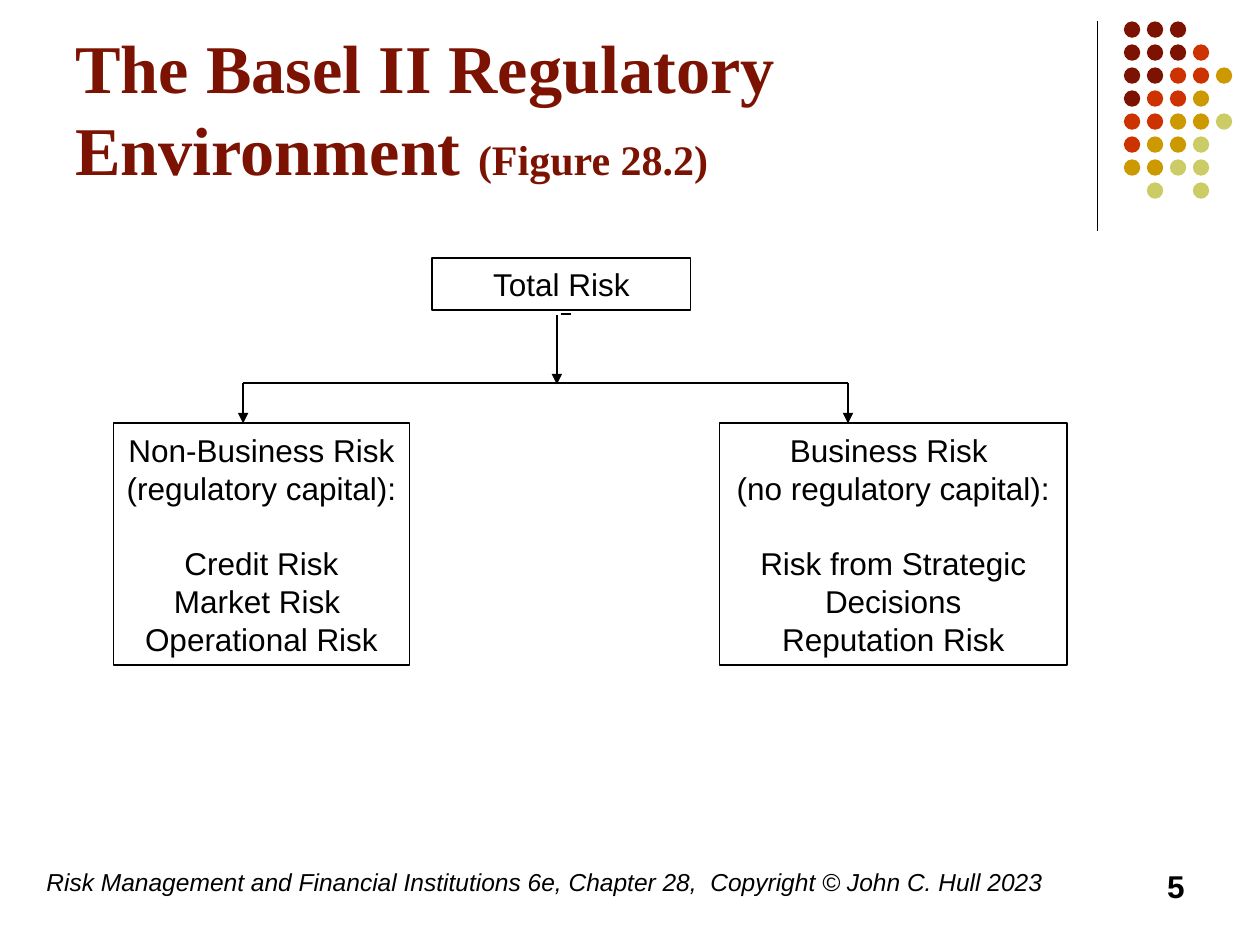
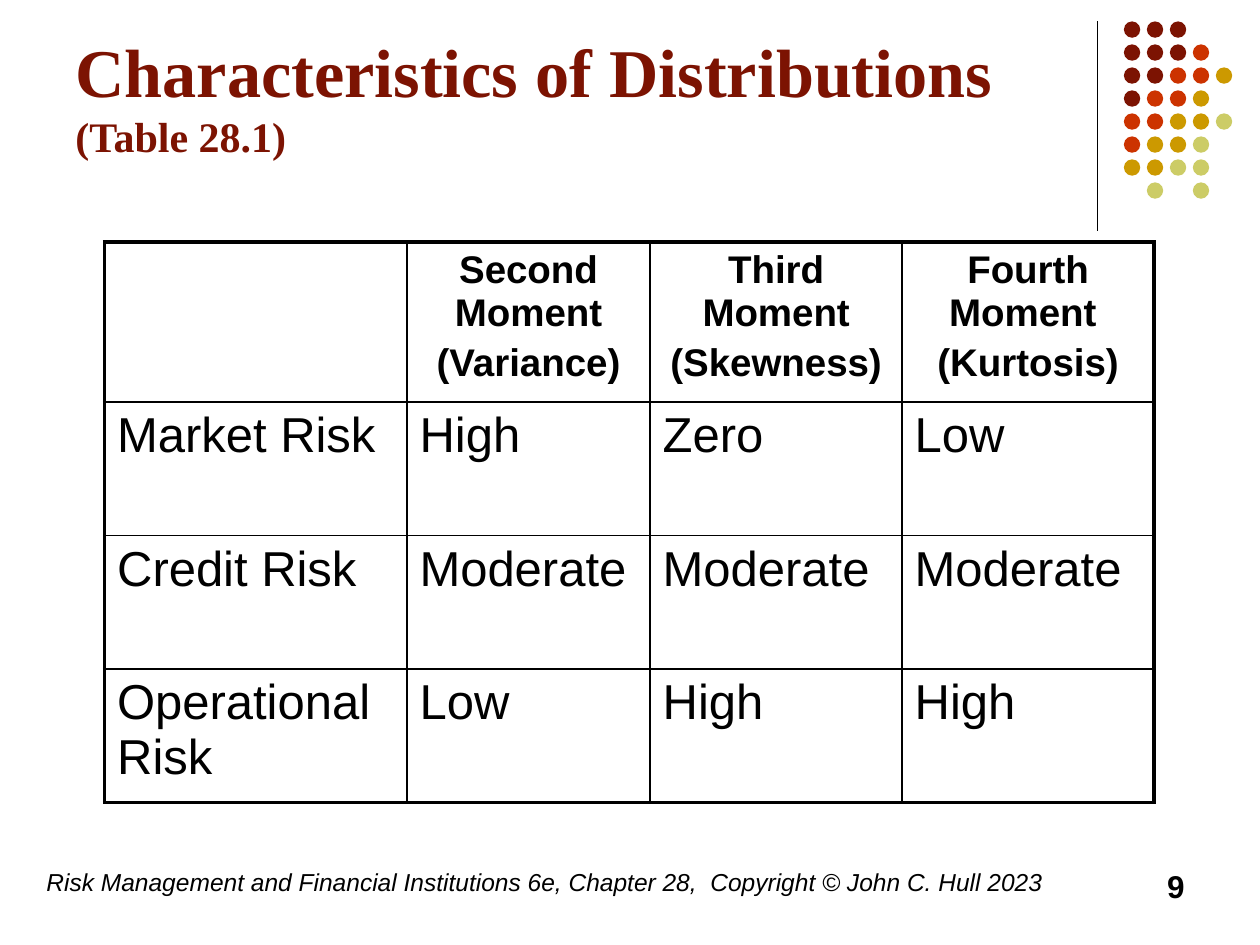
"""Build two slides on Basel II risk types and their loss distributions."""
from lxml.etree import SubElement as Sub
from pptx import Presentation
from pptx.dml.color import RGBColor as RGB
from pptx.enum.shapes import MSO_CONNECTOR as LINK, MSO_SHAPE as SHAPE
from pptx.enum.text import MSO_ANCHOR as ANCHOR, PP_ALIGN as ALIGN
from pptx.oxml.ns import qn
from pptx.util import Inches, Pt


class Theme:
    ink = RGB.from_string("000000")
    paper = RGB.from_string("FFFFFF")
    maroon = RGB.from_string("7C1302")
    dots = {"M": maroon, "R": RGB.from_string("CC3300"),
            "G": RGB.from_string("CC9900"), "L": RGB.from_string("CCCC66")}
    thin, rule, frame = 0.75, 1, 2.25
    title = {"name": "Times New Roman", "size": Pt(39), "bold": True}
    reference = {**title, "size": Pt(24)}
    footer = {"name": "Arial", "size": Pt(14), "italic": True}
    number = {"name": "Arial", "size": Pt(18), "bold": True}
    box = {"name": "Arial", "size": Pt(18)}
    head = {"name": "Arial", "size": Pt(22), "bold": True}
    body = {"name": "Arial", "size": Pt(28), "bold": False}


def write(frame, paragraphs, align=ALIGN.LEFT, color=Theme.ink, gaps=()):
    gaps = dict(gaps)
    for index, runs in enumerate(paragraphs):
        paragraph = frame.add_paragraph() if index else frame.paragraphs[0]
        paragraph.alignment = align
        if index in gaps:
            paragraph.space_before = Pt(gaps[index])
        for words, style in runs:
            run = paragraph.add_run()
            run.text = words
            run.font.color.rgb = color
            for attribute, value in style.items():
                setattr(run.font, attribute, value)


def draw_line(slide, x1, y1, x2, y2, width=Theme.rule, arrow=False):
    line = slide.shapes.add_connector(
        LINK.STRAIGHT, Inches(x1), Inches(y1), Inches(x2), Inches(y2))
    line.line.color.rgb = Theme.ink
    line.line.width = Pt(width)
    if arrow:
        Sub(line.line._get_or_add_ln(), qn("a:tailEnd"), type="triangle")
    Sub(line._element.spPr, qn("a:effectLst"))


DOT_ROWS = ["MMM", "MMMR", "MMRRG", "MRRG", "RRGGL", "RGGL", "GGLL", " L L"]
DOT_SIZE, DOT_STEP = 0.13, 0.73 / 4
FOOTER = ("Risk Management and Financial Institutions 6e, Chapter 28,"
          "  Copyright © John C. Hull 2023")
PAGES = [
    ("The Basel II Regulatory Environment ", "(Figure 28.2)", 1.42, "5"),
    ("Characteristics of Distributions ", "(Table 28.1)", 1.2, "9"),
]

deck = Presentation()
deck.slide_width, deck.slide_height = Inches(10), Inches(7.5)
slides = []
for heading, reference, heading_height, number in PAGES:
    slide = deck.slides.add_slide(deck.slide_layouts[6])
    slides.append(slide)
    slide.background.fill.solid()
    slide.background.fill.fore_color.rgb = Theme.paper
    draw_line(slide, 8.71, 0.17, 8.71, 1.83, Theme.thin)
    for row, pattern in enumerate(DOT_ROWS):
        for column, key in enumerate(pattern):
            if key == " ":
                continue
            dot = slide.shapes.add_shape(
                SHAPE.OVAL, Inches(8.92 + column * DOT_STEP),
                Inches(0.17 + row * DOT_STEP), Inches(DOT_SIZE), Inches(DOT_SIZE))
            dot.shadow.inherit = False
            dot.fill.solid()
            dot.fill.fore_color.rgb = Theme.dots[key]
            dot.line.fill.background()
    for place, runs, align, color, anchor in [
        ((0.5, 0.13, 8.25, heading_height),
         [(heading, Theme.title), (reference, Theme.reference)],
         ALIGN.LEFT, Theme.maroon, ANCHOR.BOTTOM),
        ((0.27, 6.83, 8.27, 0.5), [(FOOTER, Theme.footer)],
         ALIGN.LEFT, Theme.ink, ANCHOR.TOP),
        ((7.17, 6.83, 2.33, 0.5), [(number, Theme.number)],
         ALIGN.RIGHT, Theme.ink, ANCHOR.TOP),
    ]:
        frame = slide.shapes.add_textbox(*map(Inches, place)).text_frame
        frame.word_wrap = True
        frame.vertical_anchor = anchor
        write(frame, [runs], align, color)

risk_tree, moments = slides

RISK_BOXES = [
    ((3.43, 2.05, 2.05, 0.41), True, ["Total Risk"]),
    ((5.71, 3.36, 2.76, 1.92), True,
     ["Business Risk ", "(no regulatory capital):",
      "Risk from Strategic Decisions", "Reputation Risk"]),
    ((0.9, 3.36, 2.35, 1.92), False,
     ["Non-Business Risk", "(regulatory capital):",
      "Credit Risk", "Market Risk ", "Operational Risk"]),
]
for place, wraps, lines in RISK_BOXES:
    box = risk_tree.shapes.add_shape(SHAPE.RECTANGLE, *map(Inches, place))
    box.shadow.inherit = False
    box.fill.solid()
    box.fill.fore_color.rgb = Theme.paper
    box.line.color.rgb = Theme.ink
    box.line.width = Pt(Theme.rule)
    box.text_frame.word_wrap = wraps
    box.text_frame.vertical_anchor = ANCHOR.MIDDLE
    write(box.text_frame, [[(words, Theme.box)] for words in lines],
          ALIGN.CENTER, gaps={2: 21.5})

TRUNK, LEFT_BRANCH, RIGHT_BRANCH, FORK = 4.42, 1.93, 6.73, 3.04
draw_line(risk_tree, 4.45, 2.49, 4.53, 2.49)
draw_line(risk_tree, TRUNK, 2.5, TRUNK, FORK + 0.01, arrow=True)
draw_line(risk_tree, LEFT_BRANCH, FORK, RIGHT_BRANCH, FORK)
for branch in (LEFT_BRANCH, RIGHT_BRANCH):
    draw_line(risk_tree, branch, FORK, branch, 3.36, arrow=True)

WIDTHS = [2.4, 1.93, 2, 2]
HEIGHTS = [1.27, 1.06, 1.06, 1.06]
ROWS = [
    [[], ["Second Moment", "(Variance)"], ["Third Moment", "(Skewness)"],
     ["Fourth Moment ", "(Kurtosis)"]],
    [["Market Risk"], ["High"], ["Zero"], ["Low"]],
    [["Credit Risk"], ["Moderate"], ["Moderate"], ["Moderate"]],
    [["Operational Risk"], ["Low"], ["High"], ["High"]],
]
grid = moments.shapes.add_table(
    len(ROWS), len(WIDTHS), Inches(0.83), Inches(1.92),
    Inches(sum(WIDTHS)), Inches(sum(HEIGHTS))).table
grid.first_row = grid.horz_banding = False
for column, width in zip(grid.columns, WIDTHS):
    column.width = Inches(width)
for row, height in zip(grid.rows, HEIGHTS):
    row.height = Inches(height)
for r, row in enumerate(ROWS):
    for c, lines in enumerate(row):
        cell = grid.cell(r, c)
        style, align = (Theme.body, ALIGN.LEFT) if r else (Theme.head, ALIGN.CENTER)
        write(cell.text_frame, [[(words, style)] for words in lines],
              align, gaps={1: 4.4})
        outer = {"lnL": c == 0, "lnR": c == len(WIDTHS) - 1,
                 "lnT": r == 0, "lnB": r == len(ROWS) - 1}
        properties = cell._tc.get_or_add_tcPr()
        for edge, is_outer in outer.items():
            weight = Theme.frame if is_outer else Theme.rule
            border = Sub(properties, qn(f"a:{edge}"), w=str(Pt(weight)))
            Sub(Sub(border, qn("a:solidFill")), qn("a:srgbClr"), val=str(Theme.ink))
        cell.fill.background()

deck.save("out.pptx")
